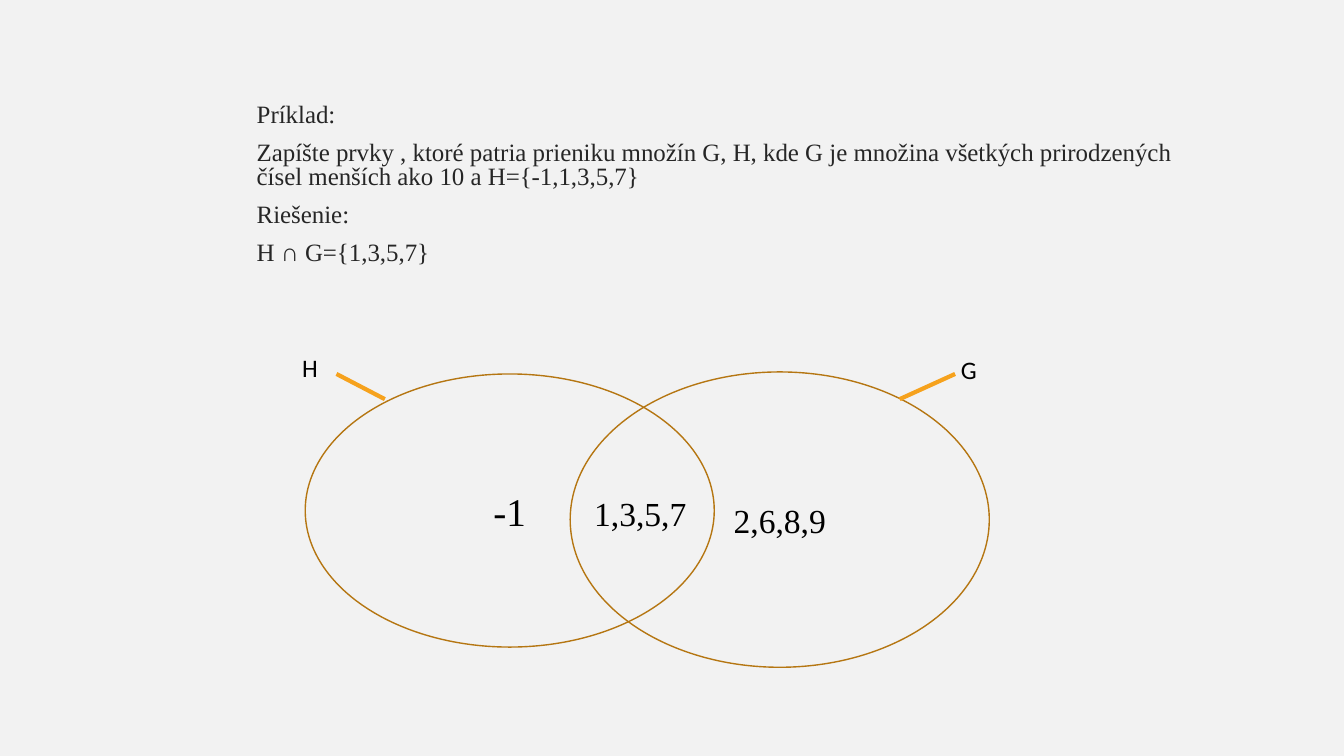
"""Build a slide on the intersection of two sets, with a Venn diagram."""
from dataclasses import dataclass
from typing import Optional

import lxml.etree
import pptx
import pptx.dml.color
import pptx.enum.shapes
import pptx.enum.text
import pptx.oxml.ns
import pptx.util

Inches = pptx.util.Inches
COLORS = {"background": "F2F2F2", "body": "262626", "label": "000000",
          "outline": "B57612", "pointer": "F6A21D"}
SERIF = "Times New Roman"
SANS = "Calibri"


@dataclass(frozen=True)
class Oval:
    left: float
    top: float
    width: float
    height: float
    text: str
    size: float
    outline: Optional[str] = None


@dataclass(frozen=True)
class SetName:
    text: str
    left: float
    top: float
    start: tuple[float, float]
    end: tuple[float, float]


TASK = [
    "Príklad:",
    "Zapíšte prvky , ktoré patria prieniku množín G, H, kde G je množina "
    "všetkých prirodzených čísel menších ako 10 a H={-1,1,3,5,7}",
    "Riešenie:",
    "H ∩ G={1,3,5,7}",
]
OVALS = [
    Oval(3.03, 3.71, 4.06, 2.71, "-1", 28, "outline"),
    Oval(5.66, 3.69, 4.16, 2.93, "2,6,8,9", 24, "outline"),
    Oval(5.5, 4.14, 1.71, 1.9, "1,3,5,7", 24),
]
SET_NAMES = [
    SetName("G", 9.44, 3.47, (8.93, 3.96), (9.48, 3.71)),
    SetName("H", 2.9, 3.45, (3.34, 3.71), (3.82, 3.96)),
]


def color(name: str) -> pptx.dml.color.RGBColor:
    return pptx.dml.color.RGBColor.from_string(COLORS[name])


def add_span(para, text: str, size: float, font: str, color_name: str) -> None:
    span = para.add_run()
    span.text = text
    span.font.size = pptx.util.Pt(size)
    span.font.name = font
    span.font.color.rgb = color(color_name)


def add_task(page) -> None:
    box = page.shapes.add_textbox(Inches(2.45), Inches(0.99), Inches(9.53), Inches(2.06))
    frame = box.text_frame
    frame.word_wrap = True
    for index, text in enumerate(TASK):
        para = frame.add_paragraph() if index else frame.paragraphs[0]
        para.line_spacing = 0.8
        para.space_before = pptx.util.Pt(10 if index else 0)
        add_span(para, text, 17.8, SERIF, "body")


def add_oval(page, oval: Oval) -> None:
    shape = page.shapes.add_shape(
        pptx.enum.shapes.MSO_SHAPE.OVAL, Inches(oval.left), Inches(oval.top),
        Inches(oval.width), Inches(oval.height))
    shape.shadow.inherit = False
    shape.fill.background()
    if oval.outline:
        shape.line.color.rgb = color(oval.outline)
        shape.line.width = pptx.util.Pt(1)
    else:
        shape.line.fill.background()
    shape.text_frame.vertical_anchor = pptx.enum.text.MSO_ANCHOR.MIDDLE
    para = shape.text_frame.paragraphs[0]
    para.alignment = pptx.enum.text.PP_ALIGN.CENTER
    add_span(para, oval.text, oval.size, SERIF, "label")


def add_set_name(page, name: SetName) -> None:
    pointer = page.shapes.add_connector(
        pptx.enum.shapes.MSO_CONNECTOR.STRAIGHT,
        *(Inches(value) for value in name.start + name.end))
    pointer.line.color.rgb = color("pointer")
    pointer.line.width = pptx.util.Pt(3)
    lxml.etree.SubElement(pointer._element.spPr, pptx.oxml.ns.qn("a:effectLst"))
    box = page.shapes.add_textbox(
        Inches(name.left), Inches(name.top), Inches(0.37), Inches(0.4))
    box.text_frame.word_wrap = True
    add_span(box.text_frame.paragraphs[0], name.text, 18, SANS, "label")


def main() -> None:
    deck = pptx.Presentation()
    deck.slide_width, deck.slide_height = Inches(13.34), Inches(7.5)
    page = deck.slides.add_slide(deck.slide_layouts[6])
    page.background.fill.solid()
    page.background.fill.fore_color.rgb = color("background")
    add_task(page)
    for oval in OVALS:
        add_oval(page, oval)
    for name in SET_NAMES:
        add_set_name(page, name)
    deck.save("out.pptx")


if __name__ == "__main__":
    main()
